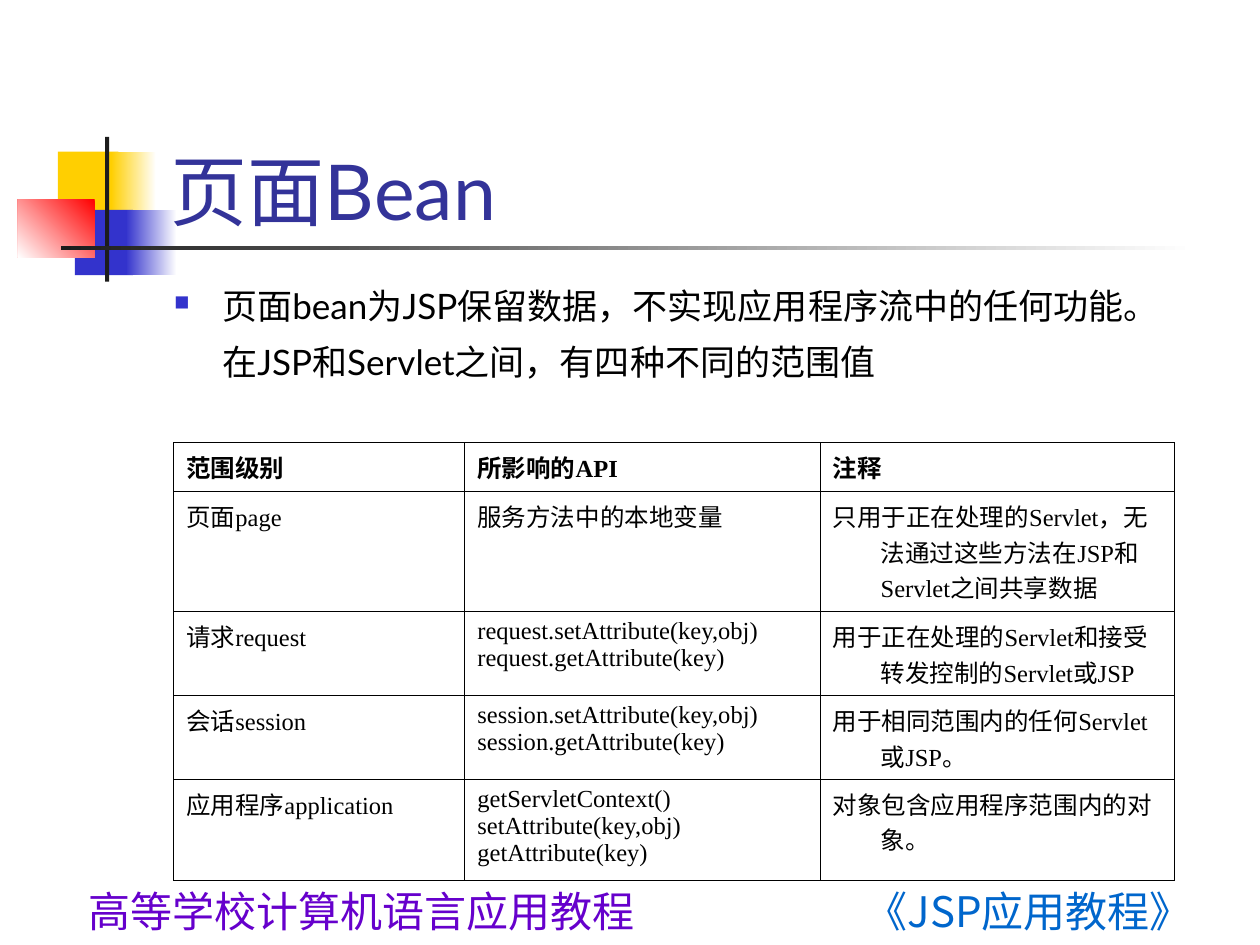
from dataclasses import dataclass

from lxml.etree import SubElement
from pptx import Presentation
from pptx.dml.color import RGBColor as RGB
from pptx.enum.shapes import MSO_SHAPE as Shape
from pptx.enum.text import MSO_ANCHOR as Anchor, MSO_AUTO_SIZE as AutoSize, PP_ALIGN as Align
from pptx.oxml.ns import qn
from pptx.util import Cm, Pt


@dataclass(frozen=True)
class Theme:
    white: str = "FFFFFF"
    black: str = "000000"
    yellow: str = "FFCF01"
    blue: str = "3333CC"
    red: str = "FF0000"
    dark: str = "1C1C1C"
    title: str = "333399"
    book: str = "0066CC"
    book_edge: str = "99CCFF"
    series: tuple = ("6600CC", "CC00CC")
    series_edge: str = "CC99FF"
    latin: str = "Lato"
    cjk: str = "Noto Sans CJK SC"
    serif: str = "Times New Roman"
    title_size: int = 44
    footer_size: int = 24
    body_size: int = 20
    body_end_size: int = 28
    table_size: int = 14


T = Theme()
HANG = Cm(0.97)

BODY = "页面bean为JSP保留数据，不实现应用程序流中的任何功能。在JSP和Servlet之间，有四种不同的范围值"
COLUMNS = (5.87, 7.16, 7.14)
ROW_HEIGHTS = (0.99, 2.42, 1.69, 1.69, 2.04)
SCOPES = [
    ("范围级别", "所影响的API", "注释"),
    ("页面page", "服务方法中的本地变量",
     "只用于正在处理的Servlet，无法通过这些方法在JSP和Servlet之间共享数据"),
    ("请求request", "request.setAttribute(key,obj)\nrequest.getAttribute(key)",
     "用于正在处理的Servlet和接受转发控制的Servlet或JSP"),
    ("会话session", "session.setAttribute(key,obj)\nsession.getAttribute(key)",
     "用于相同范围内的任何Servlet或JSP。"),
    ("应用程序application", "getServletContext()\nsetAttribute(key,obj)\ngetAttribute(key)",
     "对象包含应用程序范围内的对象。"),
]
ORNAMENTS = [
    ((1.17, 3.06, 1.22, 1.32), (T.yellow,), 0),
    ((2.24, 3.06, 0.91, 1.32), (T.white, T.yellow), 180),
    ((1.51, 4.23, 1.17, 1.32), (T.blue,), 0),
    ((2.54, 4.23, 1.02, 1.32), (T.white, T.blue), 180),
    ((0.36, 4.02, 1.55, 1.17), (T.red, T.white), 135),
    ((2.12, 2.76, 0.08, 2.92), (T.dark,), 0),
    ((1.23, 4.95, 22.86, 0.09), (T.white, T.dark), 180),
]


def paint(fill, colors, angle=0):
    if len(colors) == 1:
        fill.solid()
        fill.fore_color.rgb = RGB.from_string(colors[0])
        return
    fill.gradient()
    fill.gradient_angle = 360 - angle
    for stop, color in zip(fill.gradient_stops, colors):
        stop.color.rgb = RGB.from_string(color)


def add_line(parent, tag, color, width):
    ln = SubElement(parent, qn(tag), w=str(Pt(width)))
    SubElement(SubElement(ln, qn("a:solidFill")), qn("a:srgbClr"), val=color)
    return ln


def add_run(p, text, size, font, colors, bold=False):
    r = p.add_run()
    r.text = text
    r.font.size = Pt(size)
    r.font.bold = bold
    r.font.name = font
    paint(r.font.fill, colors, 90)
    SubElement(r.font._element, qn("a:ea"), typeface=T.cjk)
    return r


def hang_indent(p):
    pPr = p._p.get_or_add_pPr()
    pPr.set("marL", str(HANG))
    pPr.set("indent", str(-HANG))
    return pPr


def add_ornament(s, box, colors, angle):
    sp = s.shapes.add_shape(Shape.RECTANGLE, *map(Cm, box))
    sp.shadow.inherit = False
    sp.line.fill.background()
    paint(sp.fill, colors, angle)


def add_footer(s, box, text, colors, edge, edge_width):
    tf = s.shapes.add_textbox(*map(Cm, box)).text_frame
    tf.word_wrap = False
    r = add_run(tf.paragraphs[0], text, T.footer_size, T.cjk, colors)
    rPr = r.font._element
    rPr.insert(0, add_line(rPr, "a:ln", edge, edge_width))


def set_title(s, box, text):
    title = s.shapes.title
    title.left, title.top, title.width, title.height = map(Cm, box)
    tree = title._element.getparent()
    tree.append(title._element)
    tf = title.text_frame
    tf.auto_size = AutoSize.NONE
    tf.vertical_anchor = Anchor.BOTTOM
    p = tf.paragraphs[0]
    p.alignment = Align.LEFT
    add_run(p, text, T.title_size, T.latin, (T.title,))


def add_body(s, box, text):
    tf = s.shapes.add_textbox(*map(Cm, box)).text_frame
    tf.word_wrap = True
    p = tf.paragraphs[0]
    pPr = hang_indent(p)
    pPr.set("hangingPunct", "0")
    SubElement(SubElement(pPr, qn("a:buClr")), qn("a:srgbClr"), val=T.blue)
    SubElement(pPr, qn("a:buSzPct"), val="60000")
    SubElement(pPr, qn("a:buChar"), char="■")
    add_run(p, text, T.body_size, T.latin, (T.black,))
    add_run(p, " ", T.body_end_size, T.latin, (T.black,))


def fill_cell(cell, text, bold):
    tf = cell.text_frame
    for i, line in enumerate(text.split("\n")):
        p = tf.add_paragraph() if i else tf.paragraphs[0]
        hang_indent(p)
        add_run(p, line, T.table_size, T.serif, (T.black,), bold)
    tcPr = cell._tc.get_or_add_tcPr()
    for side in "LRTB":
        add_line(tcPr, f"a:ln{side}", T.black, 0.45)
    cell.fill.background()


def add_scope_table(s, left, top):
    box = (left, top, sum(COLUMNS), sum(ROW_HEIGHTS))
    table = s.shapes.add_table(len(SCOPES), len(COLUMNS), *map(Cm, box)).table
    table.first_row = table.horz_banding = False
    for column, width in zip(table.columns, COLUMNS):
        column.width = Cm(width)
    for i, (row, height) in enumerate(zip(table.rows, ROW_HEIGHTS)):
        row.height = Cm(height)
        for cell, text in zip(row.cells, SCOPES[i]):
            fill_cell(cell, text, bold=i == 0)


def main():
    prs = Presentation()
    prs.slide_width, prs.slide_height = Cm(25.4), Cm(19.05)
    s = prs.slides.add_slide(prs.slide_layouts.get_by_name("Title Only"))
    for ornament in ORNAMENTS:
        add_ornament(s, *ornament)
    add_footer(s, (17.2, 17.73, 8.89, 0.71), "《JSP应用教程》", (T.book,), T.book_edge, 1.5)
    add_footer(s, (1.54, 17.73, 12.8, 1.32), "高等学校计算机语言应用教程",
               T.series, T.series_edge, 0.75)
    set_title(s, (3.19, 1.7, 21.64, 3.18), "页面Bean")
    add_body(s, (3.26, 5.61, 20.42, 11.43), BODY)
    add_scope_table(s, 3.5, 8.92)
    prs.save("out.pptx")


if __name__ == "__main__":
    main()
